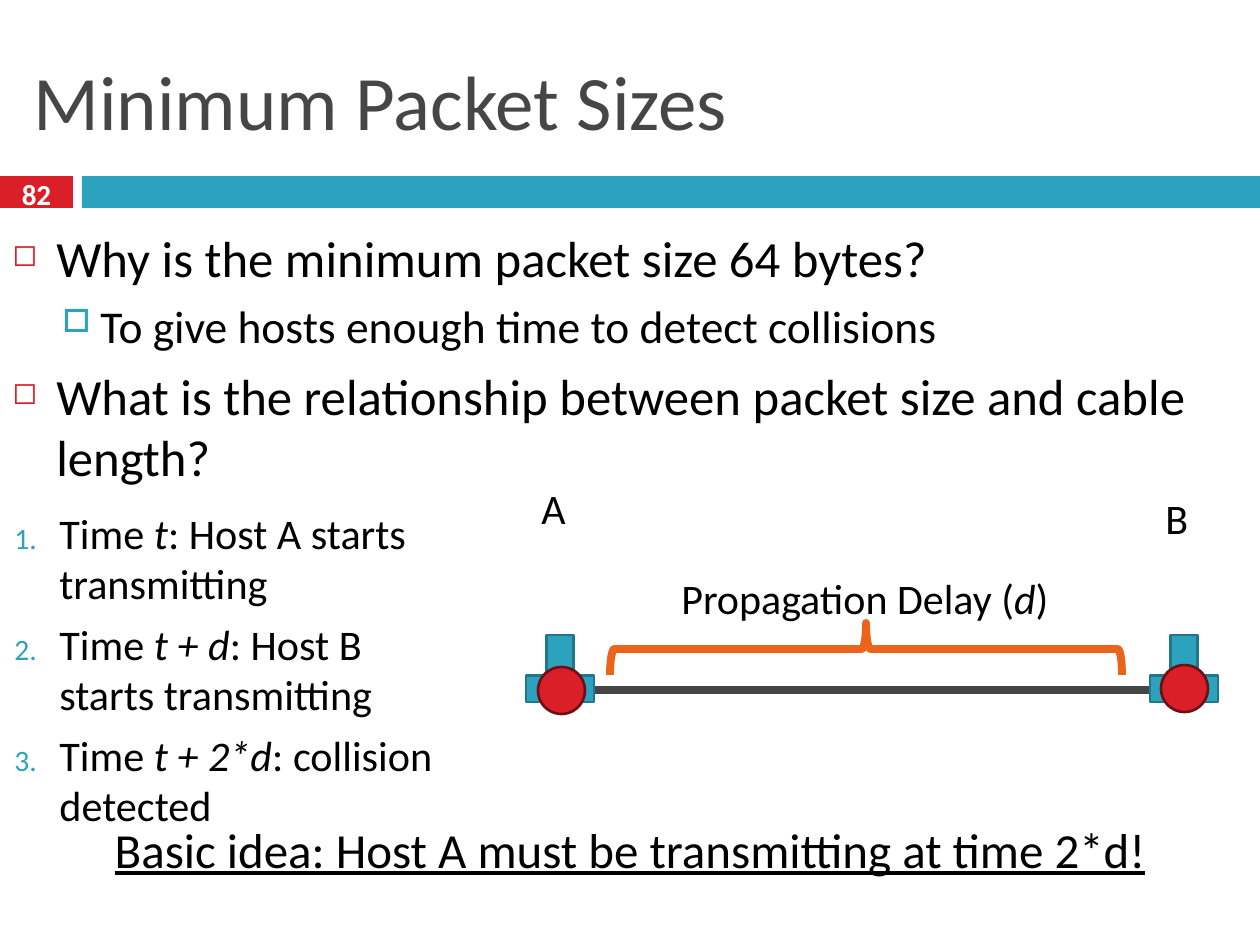
from dataclasses import dataclass

from lxml.etree import SubElement
from pptx import Presentation
from pptx.dml.color import RGBColor
from pptx.enum.shapes import MSO_CONNECTOR, MSO_SHAPE
from pptx.enum.text import MSO_ANCHOR, MSO_AUTO_SIZE, PP_ALIGN
from pptx.oxml.ns import qn
from pptx.util import Pt

PX = 914400 / 126


@dataclass(frozen=True)
class Theme:
    font: str = "Calibri"
    red: str = "DA1F28"
    dark_red: str = "6D1014"
    teal: str = "2DA2BF"
    dark_teal: str = "21788D"
    orange: str = "EB641B"
    gray: str = "464646"
    black: str = "000000"
    white: str = "FFFFFF"
    title: float = 44
    number: float = 16.6
    body: float = 29
    sub: float = 26
    step: float = 24.1
    label: float = 24
    idea: float = 28
    thin: float = 1.5
    thick: float = 4.5


T = Theme()


def px(n):
    return round(n * PX)


def rgb(color):
    return RGBColor.from_string(color)


def add_shape(s, kind, box, fill=None, line=None, weight=T.thin):
    sp = s.shapes.add_shape(kind, *map(px, box))
    sp.shadow.inherit = False
    if fill:
        sp.fill.solid()
        sp.fill.fore_color.rgb = rgb(fill)
    else:
        sp.fill.background()
    if line:
        sp.line.color.rgb = rgb(line)
        sp.line.width = Pt(weight)
    else:
        sp.line.fill.background()
    return sp


def add_line(s, x1, y1, x2, y2, color, weight):
    ln = s.shapes.add_connector(MSO_CONNECTOR.STRAIGHT, *map(px, (x1, y1, x2, y2)))
    ln.line.color.rgb = rgb(color)
    ln.line.width = Pt(weight)
    SubElement(ln._element.spPr, qn("a:effectLst"))


def add_box(s, box, anchor=MSO_ANCHOR.TOP, wrap=True):
    tf = s.shapes.add_textbox(*map(px, box)).text_frame
    tf.word_wrap = wrap
    tf.auto_size = MSO_AUTO_SIZE.NONE if wrap else MSO_AUTO_SIZE.SHAPE_TO_FIT_TEXT
    tf.vertical_anchor = anchor
    return tf


def add_bullet(p, left, hanging, color, percent, char=None):
    """Hanging bullet; numbered when no character is given."""
    pPr = p._p.get_or_add_pPr()
    pPr.set("marL", str(px(left)))
    pPr.set("indent", str(-px(hanging)))
    clr = SubElement(pPr, qn("a:buClr"))
    SubElement(clr, qn("a:srgbClr"), val=color)
    SubElement(pPr, qn("a:buSzPct"), val=str(percent * 1000))
    if char:
        SubElement(pPr, qn("a:buChar"), char=char)
    else:
        SubElement(pPr, qn("a:buAutoNum"), type="arabicPeriod")


def next_paragraph(tf, space):
    """The empty first paragraph, or a new one with space before it."""
    if not tf.paragraphs[0].runs:
        return tf.paragraphs[0]
    p = tf.add_paragraph()
    p.space_before = Pt(space)
    return p


def add_run(p, text, size, color=T.black, bold=None, italic=None, underline=None):
    r = p.add_run()
    r.text = text
    f = r.font
    f.name, f.size, f.color.rgb = T.font, Pt(size), rgb(color)
    f.bold, f.italic, f.underline = bold, italic, underline


def add_header(s):
    add_shape(s, MSO_SHAPE.RECTANGLE, (0, 176, 73, 32), T.red)
    add_shape(s, MSO_SHAPE.RECTANGLE, (82, 176, 1178, 32), T.teal)
    title = add_box(s, (21, 32, 1218, 136), MSO_ANCHOR.MIDDLE)
    add_run(title.paragraphs[0], "Minimum Packet Sizes", T.title, T.gray)
    p = add_box(s, (0, 173, 73, 42), MSO_ANCHOR.MIDDLE).paragraphs[0]
    p.alignment = PP_ALIGN.CENTER
    add_run(p, "82", T.number, T.white, bold=True)


def add_questions(s):
    tf = add_box(s, (0, 221, 1260, 275))
    for level, text in (
        (0, "Why is the minimum packet size 64 bytes?"),
        (1, "To give hosts enough time to detect collisions"),
        (0, "What is the relationship between packet size and cable length?"),
    ):
        p = next_paragraph(tf, 5.5 if level else 7)
        p.level = level
        if level:
            add_bullet(p, 88, 38, T.teal, 70, "□")
        else:
            add_bullet(p, 44, 44, T.red, 60, "◻")
        add_run(p, text, T.sub if level else T.body)


def add_steps(s):
    tf = add_box(s, (0, 501, 470, 311))
    for time, event in (
        ("t", ": Host A starts transmitting"),
        ("t + d", ": Host B starts transmitting"),
        ("t + 2*d", ": collision detected"),
    ):
        p = next_paragraph(tf, 5.5)
        p.level = 1
        add_bullet(p, 47, 45, T.teal, 70)
        add_run(p, "Time ", T.step)
        add_run(p, time, T.step, italic=True)
        add_run(p, event, T.step)


def add_label(s, box, *runs):
    p = add_box(s, box, wrap=False).paragraphs[0]
    for text, italic in runs:
        add_run(p, text, T.label, italic=italic)


def add_host(s, x, node_x, node_y):
    host = add_shape(s, MSO_SHAPE.UP_ARROW_CALLOUT, (x, 635, 68, 67), T.teal, T.dark_teal)
    for i, value in enumerate((0.5, 0.198, 0, 0.391)):
        host.adjustments[i] = value
    add_shape(s, MSO_SHAPE.OVAL, (node_x, node_y, 47, 47), T.red, T.dark_red)


def add_diagram(s):
    # Cable and the two hosts
    add_line(s, 554, 690, 1184, 690, T.gray, T.thick)
    add_host(s, 526, 538, 667)
    add_host(s, 1150, 1161, 665)
    # Brace turned to span the cable
    brace = add_shape(s, MSO_SHAPE.LEFT_BRACE, (840, 393, 52, 512),
                      line=T.orange, weight=T.thick)
    brace.rotation = 90
    # Labels
    add_label(s, (669, 566, 404, 63),
              ("Propagation Delay (", None), ("d", True), (")", None))
    add_label(s, (529, 476, 52, 63), ("A", None))
    add_label(s, (1153, 486, 47, 63), ("B", None))


def add_idea(s):
    p = add_box(s, (0, 813, 1260, 137)).paragraphs[0]
    p.alignment = PP_ALIGN.CENTER
    add_run(p, "Basic idea: Host A must be transmitting at time 2*d!", T.idea, underline=True)


def main():
    prs = Presentation()
    prs.slide_width, prs.slide_height = px(1260), px(945)
    s = prs.slides.add_slide(prs.slide_layouts[6])
    add_header(s)
    add_questions(s)
    add_diagram(s)
    add_steps(s)
    add_idea(s)
    prs.save("out.pptx")


if __name__ == "__main__":
    main()
